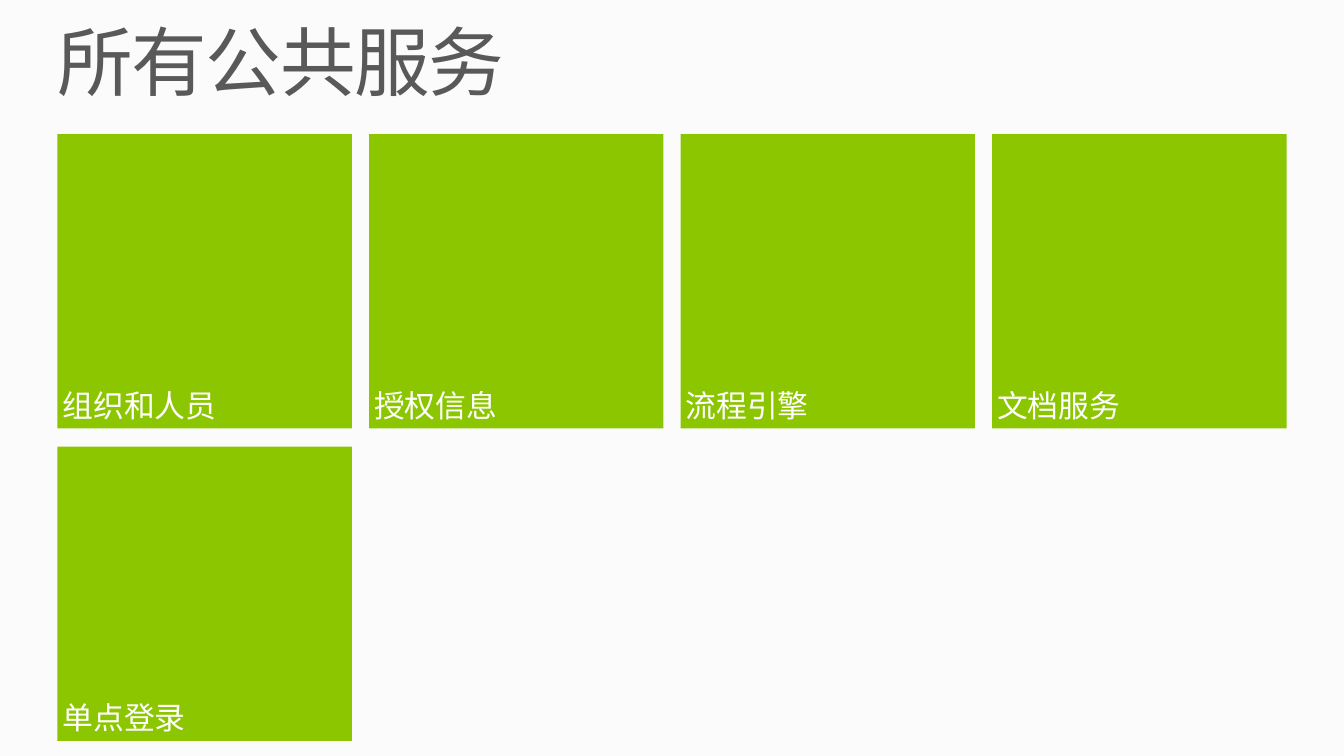
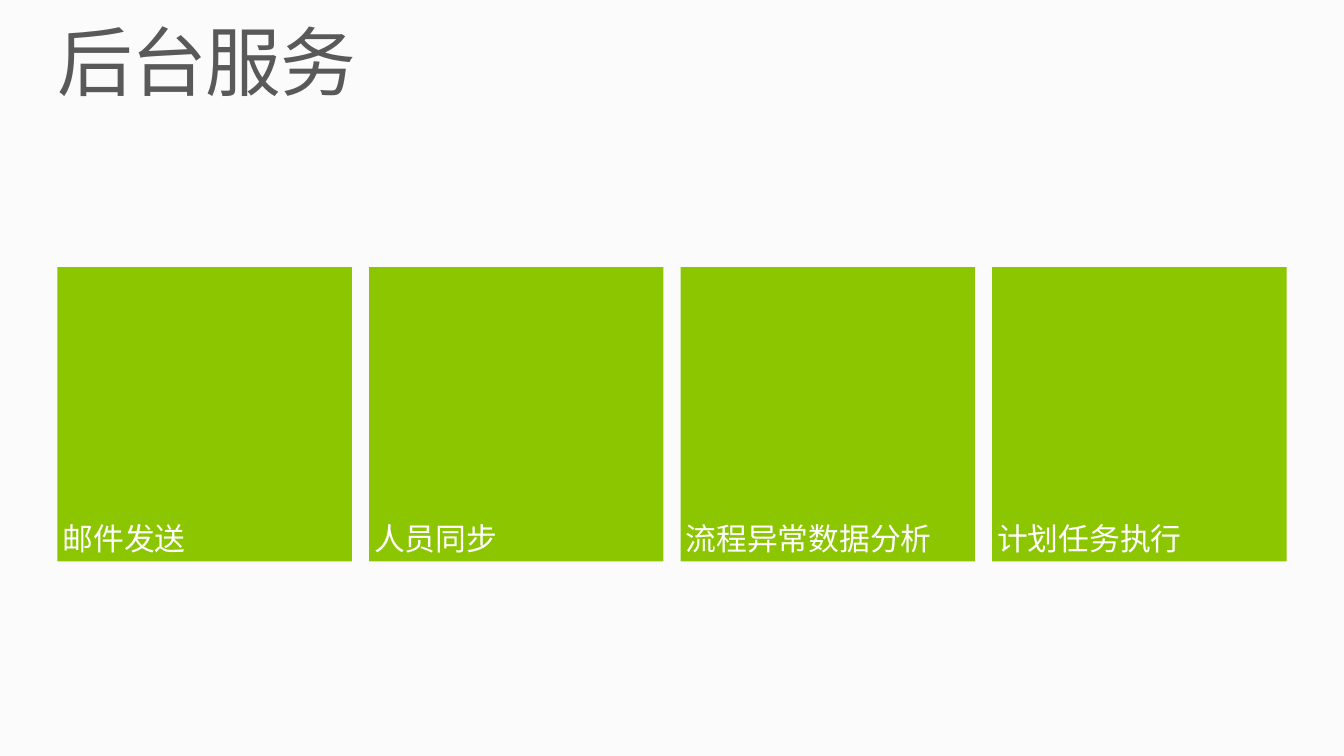
from dataclasses import dataclass

from lxml import etree
from pptx import Presentation
from pptx.dml.color import RGBColor
from pptx.enum.shapes import MSO_SHAPE
from pptx.enum.text import MSO_ANCHOR, MSO_AUTO_SIZE, PP_ALIGN
from pptx.oxml.ns import qn
from pptx.util import Inches, Pt

RECT = MSO_SHAPE.RECTANGLE
LEFT = PP_ALIGN.LEFT
TOP, BOTTOM = MSO_ANCHOR.TOP, MSO_ANCHOR.BOTTOM
GROW = MSO_AUTO_SIZE.SHAPE_TO_FIT_TEXT
TITLE_ONLY = 5

# Title, top of the tile grid in inches, tile labels
SLIDES = [
    ("所有公共服务", 1.33,
     ["组织和人员", "授权信息", "流程引擎", "文档服务", "单点登录"]),
    ("后台服务", 2.65,
     ["邮件发送", "人员同步", "流程异常数据分析", "计划任务执行"]),
]


@dataclass(frozen=True)
class Theme:
    font: str = "Lato"
    page: str = "FBFBFB"
    tile: str = "8CC600"
    head: str = "595959"
    label: str = "FFFFFF"
    head_size: int = 54
    label_size: int = 22


THEME = Theme()
WIDTH, HEIGHT = 13.33, 7.5
MARGIN = 0.57
COLS = 4
SIDE = 2.92
STEP_X, STEP_Y = 3.09, 3.1


def paint(fill, color):
    fill.solid()
    fill.fore_color.rgb = RGBColor.from_string(color)


def write(shape, text, size, color, anchor=TOP, inset=0, line=None, track=None):
    """Put one left-aligned paragraph in a shape; track is in points."""
    frame = shape.text_frame
    frame.word_wrap = True
    frame.vertical_anchor = anchor
    frame.margin_left = frame.margin_right = Inches(inset)
    frame.margin_top = frame.margin_bottom = Inches(inset)
    para = frame.paragraphs[0]
    para.alignment = LEFT
    if line:
        para.line_spacing = line
    run = para.add_run()
    run.text = text
    font = run.font
    font.size = Pt(size)
    font.name = THEME.font
    paint(font.fill, color)
    props = run._r.get_or_add_rPr()
    etree.SubElement(props, qn("a:ea"), typeface=THEME.font)
    if track:
        props.set("spc", str(track * 100))


def add_title(slide, text):
    title = slide.shapes.title
    title.left, title.top = Inches(MARGIN), Inches(0.25)
    title.width, title.height = Inches(WIDTH - 2 * MARGIN), Inches(0.82)
    write(title, text, THEME.head_size, THEME.head, line=0.9, track=-1)
    title.text_frame.auto_size = GROW


def add_tiles(slide, top, labels):
    for i, label in enumerate(labels):
        row, col = divmod(i, COLS)
        tile = slide.shapes.add_shape(
            RECT, Inches(MARGIN + col * STEP_X), Inches(top + row * STEP_Y),
            Inches(SIDE), Inches(SIDE))
        tile.shadow.inherit = False
        paint(tile.fill, THEME.tile)
        tile.line.fill.background()
        write(tile, label, THEME.label_size, THEME.label,
              anchor=BOTTOM, inset=0.05)


def main():
    deck = Presentation()
    deck.slide_width, deck.slide_height = Inches(WIDTH), Inches(HEIGHT)
    paint(deck.slide_master.background.fill, THEME.page)
    for title, top, labels in SLIDES:
        slide = deck.slides.add_slide(deck.slide_layouts[TITLE_ONLY])
        add_title(slide, title)
        add_tiles(slide, top, labels)
    deck.save("out.pptx")


if __name__ == "__main__":
    main()
